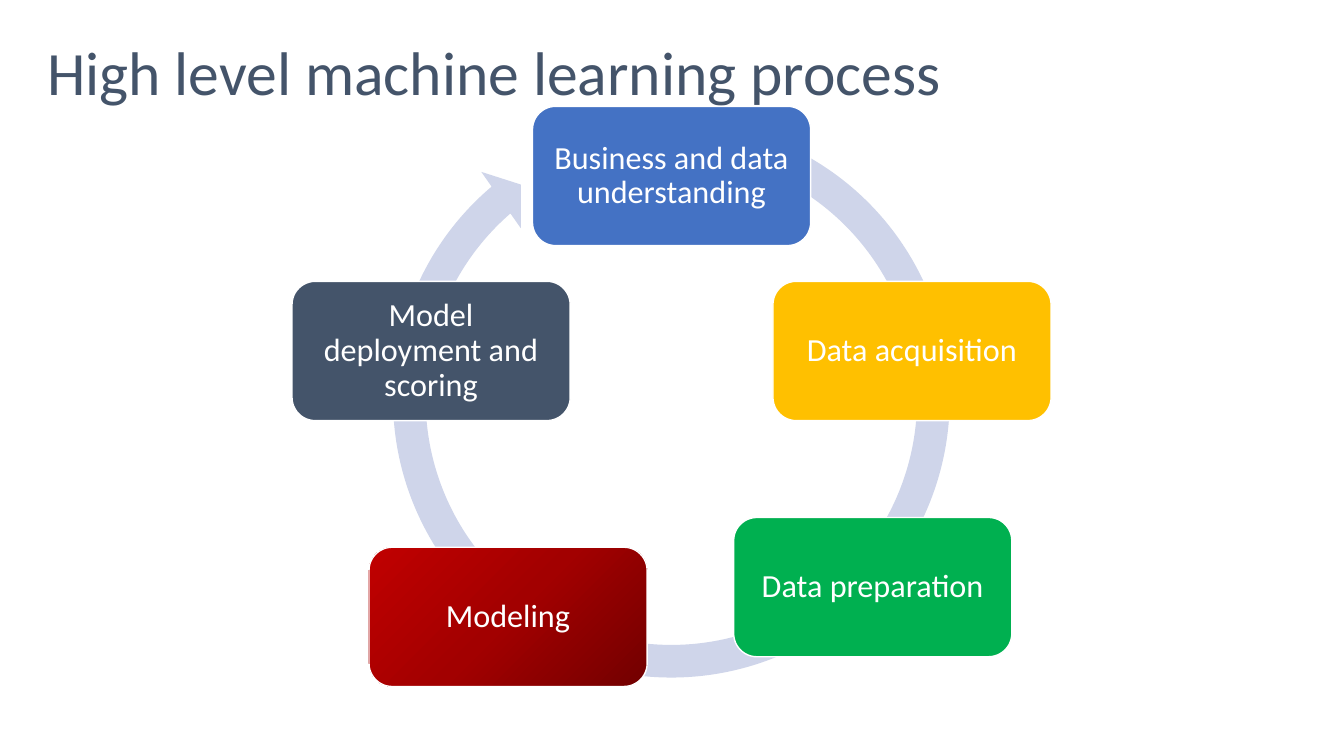
from copy import deepcopy

from pptx import Presentation
from pptx.dml.color import RGBColor
from pptx.enum.shapes import MSO_SHAPE as SHAPE
from pptx.enum.text import MSO_ANCHOR as ANCHOR, MSO_AUTO_SIZE as AUTO_SIZE, PP_ALIGN as ALIGN
from pptx.oxml.ns import qn
from pptx.util import Cm, Pt

FONT = "Calibri"
COLORS = {
    "white": "FFFFFF",
    "slate": "44546A",
    "blue": "4472C4",
    "amber": "FFC000",
    "green": "00B050",
    "red_dark": "720000",
    "red_mid": "A20000",
    "red": "C00000",
    "ring": "CFD5EA",
}
BOX_W, BOX_H = 7.01, 3.51
SIDE_TOP = 7.09

# Text, left and top in cm, fill: one colour, or the stops of a gradient
STEPS = [
    ("Business and data understanding", 13.42, 2.68, ["blue"]),
    ("Data acquisition", 19.48, SIDE_TOP, ["amber"]),
    ("Data preparation", 18.49, 13.04, ["green"]),
    ("Modeling", 9.3, 13.79, ["red_dark", "red_mid", "red"]),
    ("Model deployment and scoring", 7.36, SIDE_TOP, ["slate"]),
]


def rgb(name):
    return RGBColor.from_string(COLORS[name])


def format_paragraph(p, size, color, align):
    p.alignment = align
    p.line_spacing = 0.9
    p.font.name = FONT
    p.font.size = Pt(size)
    p.font.color.rgb = rgb(color)


def fill_shape(sp, names):
    """Fill with one colour, or with a diagonal gradient of three."""
    if len(names) == 1:
        sp.fill.solid()
        sp.fill.fore_color.rgb = rgb(names[0])
        return
    sp.fill.gradient()
    sp.fill.gradient_angle = 135
    stop_list = sp._element.spPr.find(qn("a:gradFill")).find(qn("a:gsLst"))
    stop_list.insert(1, deepcopy(stop_list[0]))
    for i, (stop, name) in enumerate(zip(sp.fill.gradient_stops, names)):
        stop.position = i / (len(names) - 1)
        stop.color.rgb = rgb(name)


def set_title(s, text):
    title = s.shapes.title
    title.left, title.top, title.width, title.height = Cm(1.19), Cm(0.61), Cm(31.5), Cm(2.06)
    tf = title.text_frame
    tf.text = text
    tf.auto_size = AUTO_SIZE.NONE
    tf.vertical_anchor = ANCHOR.TOP
    tf.margin_left = tf.margin_right = tf.margin_bottom = 0
    tf.margin_top = Cm(0.46)
    format_paragraph(tf.paragraphs[0], 44, "slate", ALIGN.LEFT)


def add_cycle_arrow(s):
    sp = s.shapes.add_shape(SHAPE.CIRCULAR_ARROW, Cm(9.45), Cm(2.59), Cm(14.94), Cm(14.94))
    for i, value in enumerate([0.055, 3.307, 137.676, 173.91, 0.058]):
        sp.adjustments[i] = value
    sp.shadow.inherit = False
    fill_shape(sp, ["ring"])
    sp.line.fill.background()


def add_step(s, text, left, top, fill):
    sp = s.shapes.add_shape(SHAPE.ROUNDED_RECTANGLE, Cm(left), Cm(top), Cm(BOX_W), Cm(BOX_H))
    sp.shadow.inherit = False
    fill_shape(sp, fill)
    sp.line.color.rgb = rgb("white")
    sp.line.width = Pt(1)
    tf = sp.text_frame
    tf.text = text
    tf.word_wrap = True
    tf.vertical_anchor = ANCHOR.MIDDLE
    tf.margin_left = tf.margin_right = tf.margin_top = tf.margin_bottom = Cm(0.25)
    format_paragraph(tf.paragraphs[0], 23, "white", ALIGN.CENTER)


def main():
    prs = Presentation()
    prs.slide_width, prs.slide_height = Cm(33.87), Cm(19.05)
    s = prs.slides.add_slide(prs.slide_layouts[5])
    set_title(s, "High level machine learning process")
    add_cycle_arrow(s)
    for step in STEPS:
        add_step(s, *step)
    prs.save("out.pptx")


if __name__ == "__main__":
    main()
